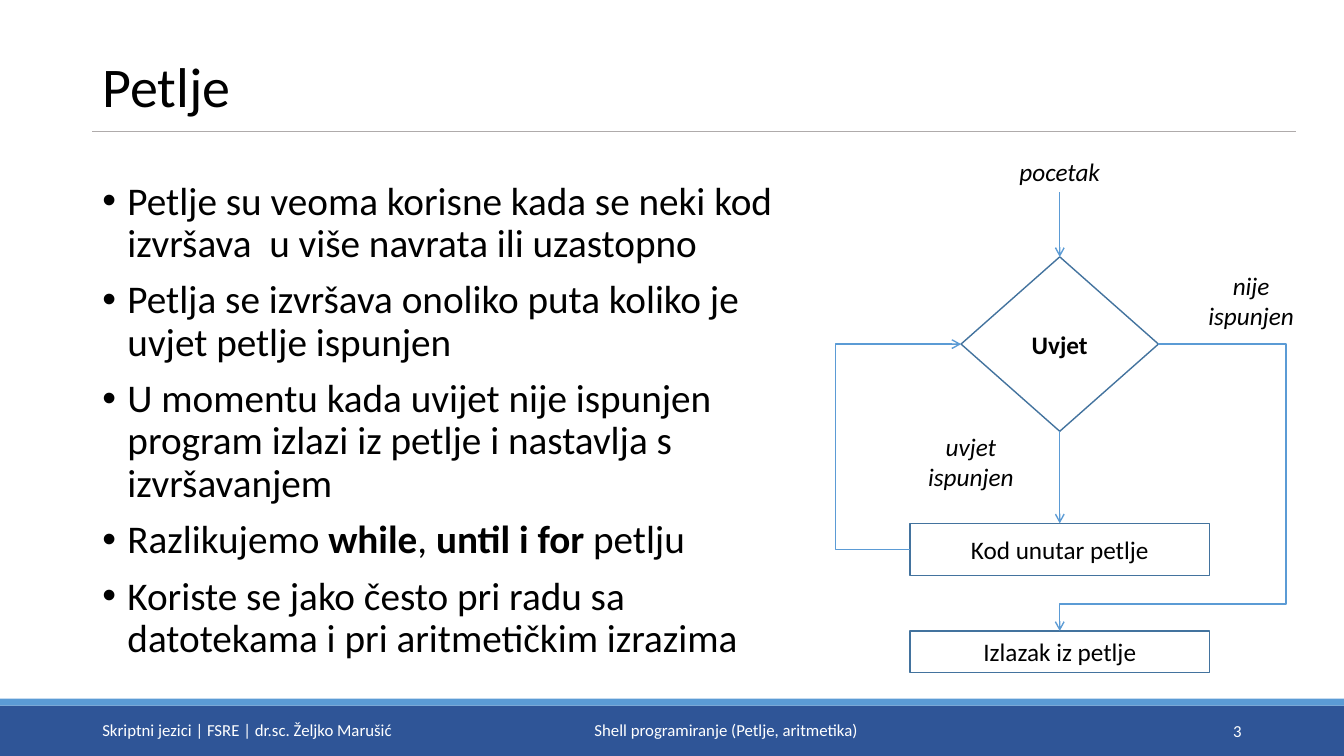
from lxml import etree
from pptx import Presentation
from pptx.dml.color import RGBColor
from pptx.enum import shapes, text
from pptx.oxml import ns
from pptx.util import Pt

FONT = "Calibri"
BLACK, WHITE, GREY = "000000", "FFFFFF", "AFABAB"
NAVY, BLUE, OUTLINE = "2F5597", "5B9BD5", "43739E"
LEFT, CENTER, RIGHT = text.PP_ALIGN.LEFT, text.PP_ALIGN.CENTER, text.PP_ALIGN.RIGHT
MIDDLE, TOP = text.MSO_ANCHOR.MIDDLE, text.MSO_ANCHOR.TOP
RECT, DIAMOND = shapes.MSO_SHAPE.RECTANGLE, shapes.MSO_SHAPE.DIAMOND

BULLETS = [
    ["Petlje su veoma korisne kada se neki kod izvršava  u više navrata ili uzastopno"],
    ["Petlja se izvršava onoliko puta koliko je uvjet petlje ispunjen"],
    ["U momentu kada uvijet nije ispunjen program izlazi iz petlje i nastavlja s izvršavanjem"],
    # Every second run is bold
    ["Razlikujemo ", "while", ", ", "until i for ", "petlju"],
    ["Koriste se jako često pri radu sa datotekama i pri aritmetičkim izrazima"],
]


def rgb(color):
    return RGBColor.from_string(color)


def add_run(p, words, size=18, color=BLACK, bold=False, italic=False):
    r = p.add_run()
    r.text = words
    f = r.font
    f.name, f.size, f.bold, f.italic = FONT, Pt(size), bold, italic
    f.color.rgb = rgb(color)


def write(sp, words, align=CENTER, anchor=MIDDLE, spacing=None, **fmt):
    tf = sp.text_frame
    tf.word_wrap = True
    tf.vertical_anchor = anchor
    p = tf.paragraphs[0]
    p.alignment = align
    p.line_spacing = spacing
    add_run(p, words, **fmt)


def text_box(s, box, words=None, **fmt):
    sp = s.shapes.add_textbox(*map(Pt, box))
    if words:
        write(sp, words, **fmt)
    return sp


def bullet_list(s, box, items):
    tf = text_box(s, box).text_frame
    tf.word_wrap = True
    tf.vertical_anchor = TOP
    for i, runs in enumerate(items):
        p = tf.add_paragraph() if i else tf.paragraphs[0]
        p.line_spacing, p.space_before = 0.9, Pt(10)
        pPr = p._p.get_or_add_pPr()
        pPr.set("marL", str(Pt(18)))
        pPr.set("indent", str(-Pt(18)))
        etree.SubElement(pPr, ns.qn("a:buFont")).set("typeface", "Arial")
        etree.SubElement(pPr, ns.qn("a:buChar")).set("char", "•")
        for j, words in enumerate(runs):
            add_run(p, words, size=28, bold=j % 2 == 1)


def bar(s, box, color):
    sp = s.shapes.add_shape(RECT, *map(Pt, box))
    sp.shadow.inherit = False
    sp.fill.solid()
    sp.fill.fore_color.rgb = rgb(color)
    sp.line.fill.background()


def node(s, kind, box, words, **fmt):
    sp = s.shapes.add_shape(kind, *map(Pt, box))
    sp.shadow.inherit = False
    sp.fill.background()
    sp.line.color.rgb, sp.line.width = rgb(OUTLINE), Pt(1)
    write(sp, words, **fmt)


def style_line(sp, color, width, arrow):
    sp.line.color.rgb, sp.line.width = rgb(color), Pt(width)
    if arrow:
        ln = sp.line._get_or_add_ln()
        etree.SubElement(ln, ns.qn("a:tailEnd")).set("type", "arrow")


def straight(s, x1, y1, x2, y2, color=BLUE, width=1, arrow=True):
    c = s.shapes.add_connector(shapes.MSO_CONNECTOR.STRAIGHT, *map(Pt, (x1, y1, x2, y2)))
    style_line(c, color, width, arrow)
    etree.SubElement(c._element.spPr, ns.qn("a:effectLst"))


def bent_arrow(s, points):
    start, *rest = [(Pt(x), Pt(y)) for x, y in points]
    fb = s.shapes.build_freeform(*start)
    fb.add_line_segments(rest, close=False)
    sp = fb.convert_to_shape()
    sp.fill.background()
    style_line(sp, BLUE, 1, True)
    sp.shadow.inherit = False


def flowchart(s):
    mid_x, mid_y = 757, 245.8
    left, width = 650, 214
    d_left, d_top, d_width, d_height = 686.5, 183.5, 141, 124.6
    code_top, exit_top = 373.8, 450.7

    # Nodes
    node(s, RECT, (left, exit_top, width, 29.5), "Izlazak iz petlje")
    node(s, RECT, (left, code_top, width, 37.5), "Kod unutar petlje")
    node(s, DIAMOND, (d_left, d_top, d_width, d_height), "Uvjet", bold=True)

    # Arrows
    straight(s, mid_x, 137.5, mid_x, d_top)
    straight(s, mid_x, d_top + d_height, mid_x, code_top)
    bent_arrow(s, [(d_left + d_width, mid_y), (918.7, mid_y), (918.7, 431.4),
                   (mid_x, 431.4), (mid_x, exit_top)])
    bent_arrow(s, [(left, 392.5), (597, 392.5), (597, mid_y), (d_left, mid_y)])

    # Labels
    for box, words in [
        ((713.8, 107.5, 86.4, 30), "pocetak"),
        ((850.5, 183.5, 86.4, 62.5), "nije ispunjen"),
        ((650, 308.5, 87, 42.5), "uvjet ispunjen"),
    ]:
        text_box(s, box, words, italic=True)


def footer(s):
    bar(s, (0, 504, 960, 36), NAVY)
    bar(s, (0, 499, 960, 5), BLUE)
    for box, words, align in [
        ((66, 507, 259, 29), "Skriptni jezici | FSRE | dr.sc. Željko Marušić", LEFT),
        ((365, 507, 307.5, 29), "Shell programiranje (Petlje, aritmetika)", CENTER),
        ((805, 507.6, 89, 29), "3", RIGHT),
    ]:
        text_box(s, box, words, align=align, size=12, color=WHITE)


def main():
    prs = Presentation()
    prs.slide_width, prs.slide_height = Pt(960), Pt(540)
    s = prs.slides.add_slide(prs.slide_layouts[6])
    footer(s)

    # Title and divider
    straight(s, 66, 94, 926, 94, color=GREY, width=0.5, arrow=False)
    text_box(s, (66, 29, 724, 70), "Petlje", align=LEFT, size=40, spacing=0.9)

    bullet_list(s, (66, 126, 518, 361), BULLETS)
    flowchart(s)
    prs.save("out.pptx")


if __name__ == "__main__":
    main()
